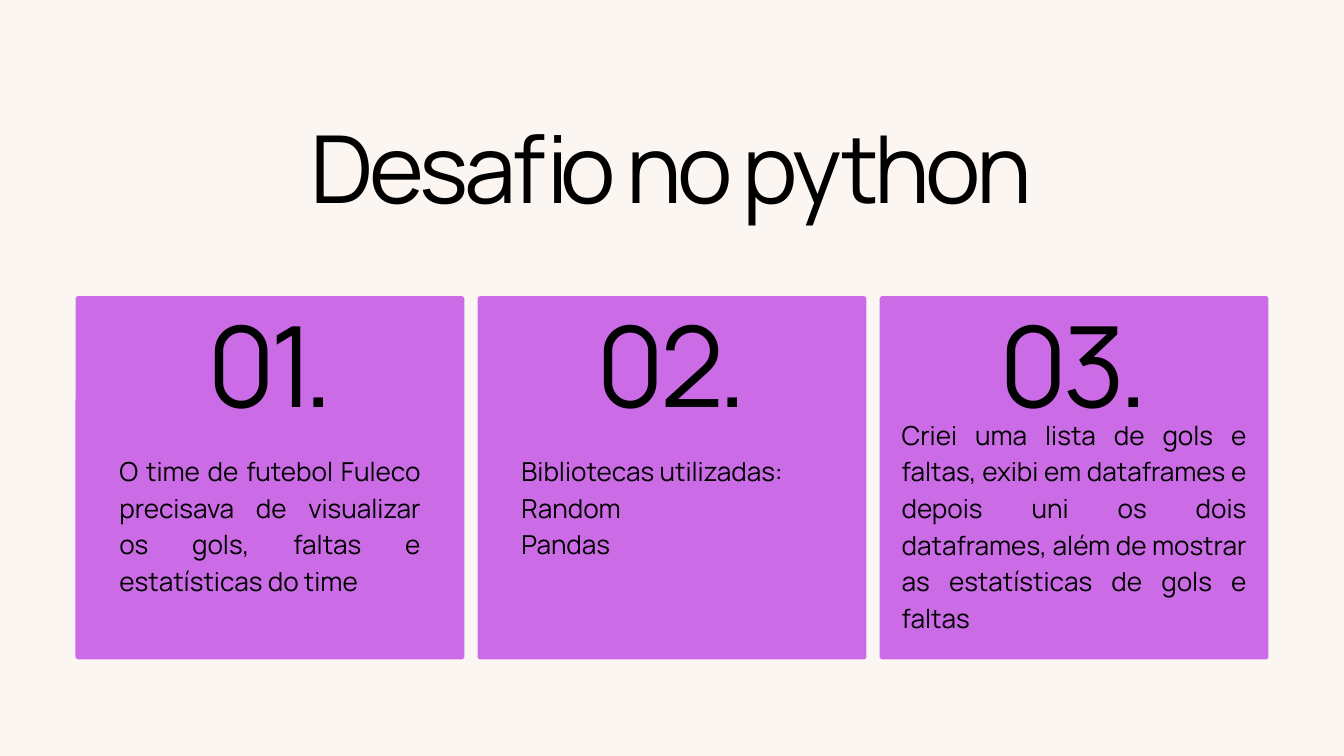
from dataclasses import dataclass

from pptx import Presentation
from pptx.dml.color import RGBColor
from pptx.enum.shapes import MSO_SHAPE
from pptx.enum.text import MSO_ANCHOR, MSO_AUTO_SIZE, PP_ALIGN
from pptx.util import Pt

CREAM = RGBColor(0xFB, 0xF6, 0xF1)
PURPLE = RGBColor(0xCB, 0x6C, 0xE6)
BLACK = RGBColor(0x00, 0x00, 0x00)

CARD_LEFT, CARD_TOP = 80.9, 317.3
CARD_WIDTH, CARD_HEIGHT = 416.6, 389.2
CARD_PITCH = 430.8
CORNER_RADIUS = 3.0
NUMBER_TOP, NUMBER_WIDTH, NUMBER_HEIGHT = 352.1, 190.8, 118


@dataclass(frozen=True)
class TextStyle:
    size: float
    line_spacing: float
    alignment: PP_ALIGN
    tracking: float = 0


@dataclass(frozen=True)
class Card:
    number: str
    lines: tuple[str, ...]
    text_top: float
    text_width: float
    text_height: float


TITLE = TextStyle(100.4, 90.4, PP_ALIGN.CENTER, -4.6)
NUMBER = TextStyle(120, 108, PP_ALIGN.CENTER, -5.5)
BODY = TextStyle(28, 39.2, PP_ALIGN.JUSTIFY)

CARDS = (
    Card("01.", ("O time de futebol Fuleco precisava de visualizar os gols, "
                 "faltas e estatísticas do time",), 482.4, 322.6, 155.5),
    Card("02.", ("Bibliotecas utilizadas:", "Random", "Pandas"),
         482.4, 322.6, 116.6),
    Card("03.", ("Criei uma lista de gols e faltas, exibi em dataframes e "
                 "depois uni os dois dataframes, além de mostrar as "
                 "estatísticas de gols e faltas",), 443.5, 369.4, 234),
)


def set_values(target, values: dict) -> None:
    for name, value in values.items():
        setattr(target, name, value)


def write_text(box, lines: tuple[str, ...], style: TextStyle) -> None:
    frame = box.text_frame
    set_values(frame, {
        "margin_left": 0, "margin_right": 0, "margin_top": 0,
        "margin_bottom": 0, "word_wrap": True,
        "auto_size": MSO_AUTO_SIZE.NONE, "vertical_anchor": MSO_ANCHOR.TOP,
    })
    for index, line in enumerate(lines):
        para = frame.add_paragraph() if index else frame.paragraphs[0]
        set_values(para, {
            "alignment": style.alignment,
            "line_spacing": Pt(style.line_spacing),
            "space_before": Pt(0),
        })
        span = para.add_run()
        span.text = line
        set_values(span.font, {"name": "Manrope", "size": Pt(style.size)})
        span.font.color.rgb = BLACK
        if style.tracking:
            properties = span.font._element
            properties.set("spc", str(round(style.tracking * 100)))


def add_title(page, text: str) -> None:
    title = page.shapes.title
    set_values(title, {"left": Pt(174.2), "top": Pt(147.6),
                       "width": Pt(1090.8), "height": Pt(98.6)})
    write_text(title, (text,), TITLE)


def add_centred_text(page, centre: float, top: float, width: float,
                     height: float, lines: tuple[str, ...],
                     style: TextStyle) -> None:
    box = page.shapes.add_textbox(Pt(centre - width / 2), Pt(top),
                                  Pt(width), Pt(height))
    write_text(box, lines, style)


def add_card(page, card: Card, left: float) -> None:
    panel = page.shapes.add_shape(
        MSO_SHAPE.ROUNDED_RECTANGLE, Pt(left), Pt(CARD_TOP),
        Pt(CARD_WIDTH), Pt(CARD_HEIGHT))
    panel.adjustments[0] = CORNER_RADIUS / CARD_HEIGHT
    panel.shadow.inherit = False
    panel.fill.solid()
    panel.fill.fore_color.rgb = PURPLE
    panel.line.fill.background()

    centre = left + CARD_WIDTH / 2
    add_centred_text(page, centre, NUMBER_TOP, NUMBER_WIDTH, NUMBER_HEIGHT,
                     (card.number,), NUMBER)
    add_centred_text(page, centre, card.text_top, card.text_width,
                     card.text_height, card.lines, BODY)


def main() -> None:
    deck = Presentation()
    set_values(deck, {"slide_width": Pt(1440), "slide_height": Pt(810)})
    page = deck.slides.add_slide(deck.slide_layouts.get_by_name("Title Only"))
    page.background.fill.solid()
    page.background.fill.fore_color.rgb = CREAM

    add_title(page, "Desafio no python")
    for column, card in enumerate(CARDS):
        add_card(page, card, CARD_LEFT + column * CARD_PITCH)
    deck.save("out.pptx")


if __name__ == "__main__":
    main()
